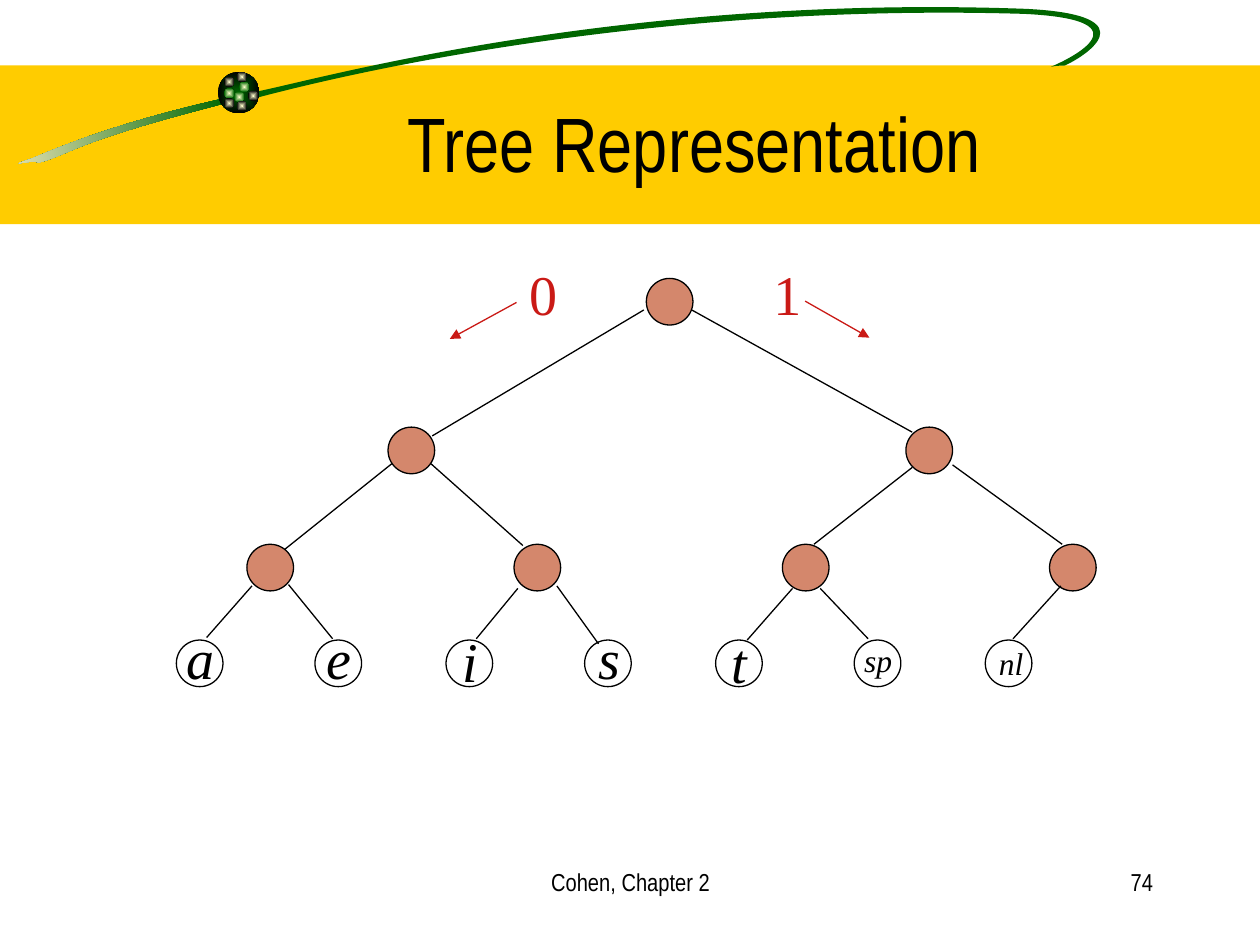
from dataclasses import dataclass
from math import cos, radians, sin

from lxml.etree import SubElement
from pptx import Presentation
from pptx.dml.color import RGBColor
from pptx.enum.shapes import MSO_CONNECTOR as Connector, MSO_SHAPE as Preset
from pptx.enum.text import MSO_ANCHOR as Anchor, PP_ALIGN as Align
from pptx.oxml.ns import qn
from pptx.util import Inches, Pt

COLORS = {
    "black": "000000",
    "band": "FFCC00",
    "green": "006600",
    "cream": "F5EBC1",
    "glow": "FFFFCC",
    "node": "D4876C",
    "red": "CA1A16",
}
SANS = "Arial Narrow"
SERIF = "Times New Roman"
NODE_SIZE = 0.37
SPARK_SIZE = 0.08
SWOOSH_TILT = 8.5

Point = tuple[float, float]
Curve = tuple[Point, Point, Point]


@dataclass
class Label:
    text: str
    left: float
    top: float
    width: float
    height: float
    size: int
    font: str = SERIF
    color: str = "black"
    italic: bool = False
    align: Align = Align.LEFT
    anchor: Anchor = Anchor.TOP


@dataclass
class Edge:
    start: Point
    end: Point
    color: str = "black"
    arrow: bool = False


@dataclass
class Spark:
    left: float
    top: float
    rim: str = "black"


@dataclass
class Swoosh:
    left: float
    top: float
    width: float
    height: float
    start: Point
    curves: list[Curve]

    def local_point(self, point: Point) -> Point:
        tilt = radians(SWOOSH_TILT)
        x = point[0] - self.left - self.width / 2
        y = point[1] - self.top - self.height / 2
        return (
            self.width / 2 + x * cos(tilt) - y * sin(tilt),
            self.height / 2 + x * sin(tilt) + y * cos(tilt),
        )


def rgb(name: str) -> RGBColor:
    return RGBColor.from_string(COLORS[name])


def fill_solid(shape, color: str) -> None:
    shape.fill.solid()
    shape.fill.fore_color.rgb = rgb(color)


def fill_gradient(shape, first: str, last: str, radial: bool) -> None:
    shape.fill.gradient()
    for stop, name in zip(shape.fill.gradient_stops, (first, last)):
        stop.color.rgb = rgb(name)
    if not radial:
        shape.fill.gradient_angle = 180
        return
    gradient = shape._element.spPr.find(qn("a:gradFill"))
    gradient.remove(gradient.find(qn("a:lin")))
    center = SubElement(gradient, qn("a:path"), {"path": "rect"})
    SubElement(center, qn("a:fillToRect"), dict.fromkeys("ltrb", "50000"))


def add_preset(slide, preset: Preset, left: float, top: float, width: float, height: float):
    shape = slide.shapes.add_shape(
        preset, Inches(left), Inches(top), Inches(width), Inches(height)
    )
    shape.shadow.inherit = False
    shape.line.fill.background()
    return shape


def add_orb(slide, left: float, top: float, size: float, first: str, last: str) -> None:
    orb = add_preset(slide, Preset.OVAL, left, top, size, size)
    fill_gradient(orb, first, last, radial=True)


def add_node(slide, left: float, top: float, filled: bool) -> None:
    node = add_preset(slide, Preset.OVAL, left, top, NODE_SIZE, NODE_SIZE)
    if filled:
        fill_solid(node, "node")
    else:
        node.fill.background()
    node.line.color.rgb = rgb("black")
    node.line.width = Pt(0.75)


def add_swoosh(slide, swoosh: Swoosh):
    left, top = Inches(swoosh.left), Inches(swoosh.top)
    right, bottom = left + Inches(swoosh.width), top + Inches(swoosh.height)
    builder = slide.shapes.build_freeform(left, top, scale=1.0)
    builder.add_line_segments([(right, top), (right, bottom), (left, bottom)])
    shape = builder.convert_to_shape()
    outline = next(shape._element.spPr.iter(qn("a:path")))
    for segment in list(outline):
        outline.remove(segment)
    segments = [("a:moveTo", (swoosh.start,))]
    segments += [("a:cubicBezTo", curve) for curve in swoosh.curves]
    for tag, points in segments:
        segment = SubElement(outline, qn(tag))
        for point in points:
            x, y = swoosh.local_point(point)
            SubElement(segment, qn("a:pt"), {"x": str(Inches(x)), "y": str(Inches(y))})
    SubElement(outline, qn("a:close"))
    shape.rotation = 360 - SWOOSH_TILT
    shape.shadow.inherit = False
    shape.line.fill.background()
    return shape


def add_edge(slide, edge: Edge) -> None:
    ends = [Inches(value) for value in (*edge.start, *edge.end)]
    connector = slide.shapes.add_connector(Connector.STRAIGHT, *ends)
    connector.line.color.rgb = rgb(edge.color)
    connector.line.width = Pt(0.75)
    if edge.arrow:
        SubElement(connector.line._get_or_add_ln(), qn("a:tailEnd"), {"type": "triangle"})
    SubElement(connector._element.spPr, qn("a:effectLst"))


def add_label(slide, label: Label) -> None:
    box = slide.shapes.add_textbox(
        Inches(label.left), Inches(label.top), Inches(label.width), Inches(label.height)
    )
    frame = box.text_frame
    frame.word_wrap = True
    frame.vertical_anchor = label.anchor
    paragraph = frame.paragraphs[0]
    paragraph.alignment = label.align
    run = paragraph.add_run()
    run.text = label.text
    run.font.name = label.font
    run.font.size = Pt(label.size)
    run.font.italic = label.italic
    run.font.color.rgb = rgb(label.color)


TAIL = Swoosh(-0.03, 0.91, 1.84, 0.3, (1.78, 0.78), [
    ((0.91, 0.98), (0.49, 1.16), (0.25, 1.26)),
    ((0.01, 1.34), (0.26, 1.26), (0.31, 1.29)),
    ((0.57, 1.22), (0.57, 1.13), (1.79, 0.82)),
    ((1.79, 0.82), (1.78, 0.78), (1.78, 0.78)),
])
LOOP = Swoosh(2.01, -0.15, 7.16, 1.09, (2.02, 0.73), [
    ((2.46, 0.65), (4.86, -0.05), (8.14, 0.07)),
    ((9.17, 0.12), (8.57, 0.47), (8.45, 0.52)),
    ((8.45, 0.52), (8.38, 0.52), (8.34, 0.53)),
    ((8.44, 0.49), (9.16, 0.16), (8.13, 0.11)),
    ((5.48, 0.03), (3.2, 0.47), (2.06, 0.77)),
    ((2.06, 0.77), (2.02, 0.73), (2.02, 0.73)),
])
SPARKS = [
    Spark(1.9, 0.65, "green"), Spark(1.78, 0.61), Spark(1.78, 0.7, "green"),
    Spark(1.86, 0.73, "green"), Spark(1.97, 0.72), Spark(1.88, 0.8),
    Spark(1.78, 0.78), Spark(1.88, 0.57),
]
INNER_NODES = [(5.13, 2.21), (3.08, 3.39), (7.19, 3.39)]
INNER_NODES += [(left, 4.32) for left in (1.96, 4.08, 6.21, 8.33)]
LEAVES = [(1.4 + 1.1 * (index % 2) + 2.14 * (index // 2), 5.08) for index in range(7)]
EDGES = [
    Edge((5.11, 2.46), (3.43, 3.46)), Edge((5.49, 2.46), (7.24, 3.43)),
    Edge((3.11, 3.68), (2.26, 4.36)), Edge((3.42, 3.68), (4.15, 4.33)),
    Edge((7.24, 3.71), (6.46, 4.32)), Edge((7.56, 3.69), (8.43, 4.32)),
    Edge((2, 4.65), (1.64, 5.06)), Edge((2.29, 4.64), (2.64, 5.07)),
    Edge((4.11, 4.67), (3.78, 5.07)), Edge((4.42, 4.65), (4.75, 5.11)),
    Edge((6.29, 4.67), (5.93, 5.08)), Edge((6.51, 4.67), (6.89, 5.07)),
    Edge((8.42, 4.65), (8.04, 5.07)),
    Edge((4.1, 2.4), (3.57, 2.69), "red", True),
    Edge((6.39, 2.39), (6.9, 2.68), "red", True),
]
LETTERS = [("a", 1.38, 4.9), ("e", 2.49, 4.9), ("i", 3.57, 4.92), ("s", 4.65, 4.9), ("t", 5.71, 4.93)]
LABELS = [
    Label("Tree Representation", 1.26, 0.5, 8.5, 1.25, 44, SANS,
          align=Align.CENTER, anchor=Anchor.MIDDLE),
    *(Label(text, left, top, 0.56, 0.64, 32, italic=True) for text, left, top in LETTERS),
    *(Label(text, left, top, 0.56, 0.4, 18, italic=True)
      for text, left, top in [("sp", 6.76, 5.04), ("nl", 7.83, 5.06)]),
    *(Label(text, left, 2.01, 0.62, 0.64, 32, color="red")
      for text, left in [("0", 4.1), ("1", 6.04)]),
    Label("Cohen, Chapter 2", 3.42, 6.83, 3.17, 0.5, 14, SANS, align=Align.CENTER),
    Label("74", 7.17, 6.83, 2.08, 0.5, 14, SANS, align=Align.RIGHT),
]


def main() -> None:
    presentation = Presentation()
    presentation.slide_width, presentation.slide_height = Inches(10), Inches(7.5)
    slide = presentation.slides.add_slide(presentation.slide_layouts[6])

    fill_solid(add_preset(slide, Preset.RECTANGLE, 0, 0.52, 10, 1.26), "band")
    fill_gradient(add_swoosh(slide, TAIL), "green", "cream", radial=False)
    fill_solid(add_swoosh(slide, LOOP), "green")
    add_orb(slide, 1.73, 0.57, 0.33, "green", "black")
    for spark in SPARKS:
        add_orb(slide, spark.left, spark.top, SPARK_SIZE, "glow", spark.rim)

    for left, top in INNER_NODES:
        add_node(slide, left, top, filled=True)
    for left, top in LEAVES:
        add_node(slide, left, top, filled=False)
    for edge in EDGES:
        add_edge(slide, edge)
    for label in LABELS:
        add_label(slide, label)
    presentation.save("out.pptx")


if __name__ == "__main__":
    main()
